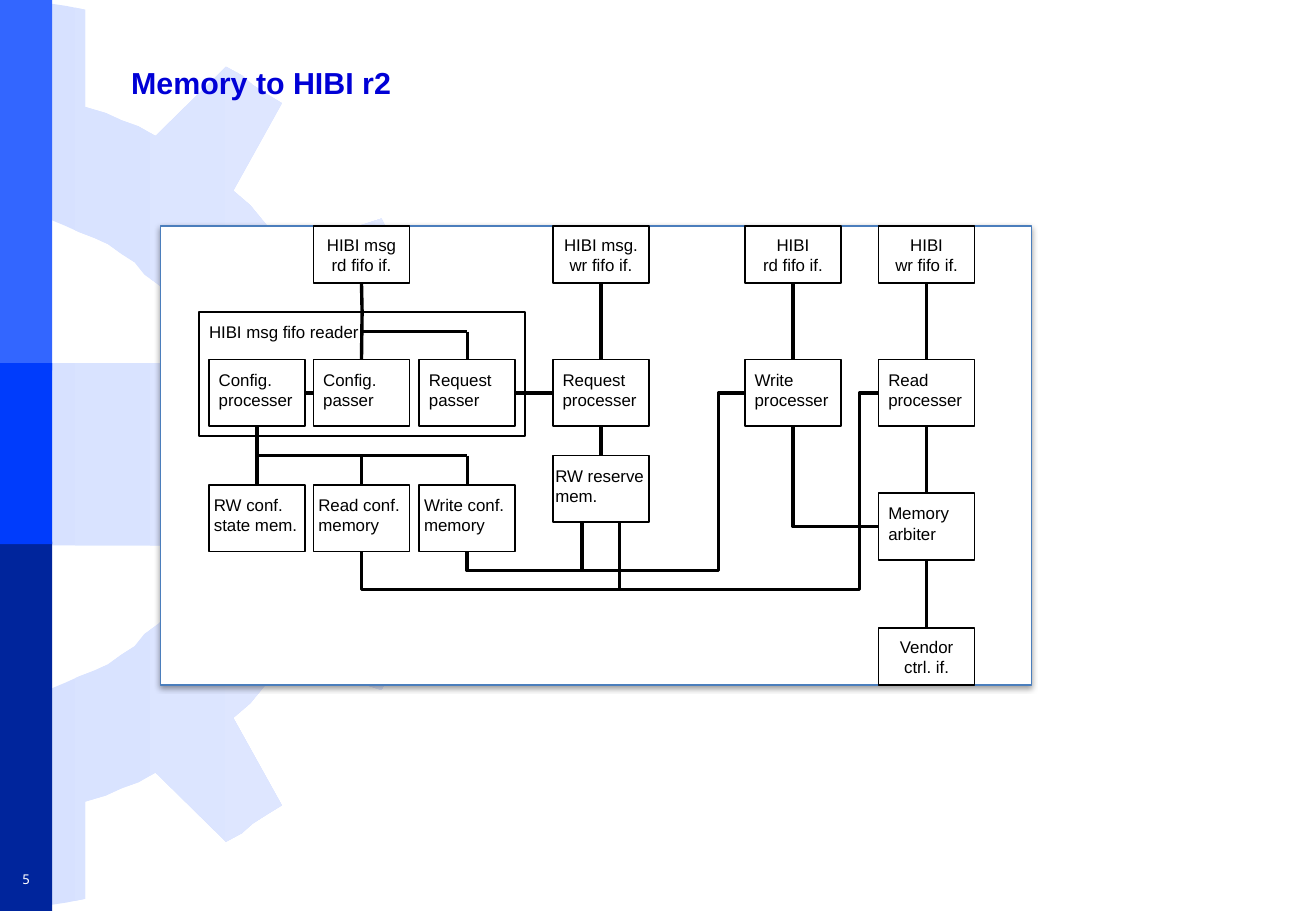
from lxml.etree import SubElement
from pptx import Presentation
from pptx.dml.color import RGBColor
from pptx.enum.shapes import MSO_CONNECTOR as Link, MSO_SHAPE as Kind
from pptx.enum.text import MSO_ANCHOR as Anchor, PP_ALIGN as Align
from pptx.oxml.ns import qn
from pptx.util import Inches, Pt

BLACK = RGBColor(0, 0, 0)
WHITE = RGBColor(255, 255, 255)
NAVY = RGBColor(0x00, 0x00, 0xD6)
EDGE = RGBColor(0x4B, 0x7E, 0xBC)
FADE = [RGBColor(0xD7, 0xE1, 0xFF), RGBColor(0xE3, 0xEA, 0xFF)]
BARS = [
    (0, 3.05, RGBColor(0x33, 0x66, 0xFF)),
    (4.46, 3.04, RGBColor(0x00, 0x25, 0x9C)),
    (2.99, 1.49, RGBColor(0x00, 0x3C, 0xFC)),
]

TITLE = "Memory to HIBI r2"
NUMBER = "5"

GEAR_TOP = [
    (3.7, 3.73), (3.7, 3.59), (3.67, 3.47), (2.86, 3.34), (2.83, 3.2),
    (2.81, 3.05), (2.75, 2.91), (2.73, 2.73), (3.38, 2.27), (3.33, 2.14),
    (3.27, 2.04), (3.2, 1.92), (3.14, 1.8), (2.36, 2.05), (2.25, 1.92),
    (2.15, 1.8), (2.06, 1.69), (1.92, 1.57), (2.32, 0.85), (2.19, 0.77),
    (2.08, 0.7), (1.99, 0.62), (1.86, 0.55), (1.28, 1.12), (1.14, 1.04),
    (1, 0.99), (0.87, 0.93), (0.7, 0.88), (0.7, 0.08), (0.55, 0.05),
    (0.42, 0.03), (0.29, 0.01), (0.14, 0), (0.14, 1.76), (0.28, 1.8),
    (0.42, 1.81), (0.54, 1.86), (0.65, 1.91), (0.78, 1.96), (0.89, 2.01),
    (1, 2.09), (1.11, 2.16), (1.19, 2.26), (1.3, 2.34), (1.39, 2.42),
    (1.47, 2.53), (1.55, 2.64), (1.6, 2.76), (1.67, 2.86), (1.73, 2.99),
    (0, 2.99),
]
GEAR_SPAN = 7.48

COLS = [1.72, 2.58, 3.45, 4.55, 6.13, 7.23]
WIDE = 0.79
PORT, UNIT = 0.47, 0.55
TOP, MID, LOW = 1.86, 2.96, 3.99

PORTS = {
    "msg rd": (1, "HIBI msg\nrd fifo if."),
    "msg wr": (3, "HIBI msg.\nwr fifo if."),
    "rd": (4, "HIBI\nrd fifo if."),
    "wr": (5, "HIBI\nwr fifo if."),
}
UNITS = {
    "conf proc": (0, MID, "Config. processer", 0.08),
    "conf pass": (1, MID, "Config. passer", 0.08),
    "req pass": (2, MID, "Request passer", 0.08),
    "req proc": (3, MID, "Request processer", 0.08),
    "write": (4, MID, "Write processer", 0.08),
    "read": (5, MID, "Read processer", 0.08),
    "state": (0, LOW, "RW conf. state mem.", 0.04),
    "read mem": (1, LOW, "Read conf. memory", 0.04),
    "write mem": (2, LOW, "Write conf. memory", 0.04),
    "reserve": (3, 3.75, "RW reserve mem.", 0.02),
    "arbiter": (5, 4.06, "Memory arbiter", 0.08),
}
JOINS = [
    ("rd", 2, "write", 0), ("wr", 2, "read", 0),
    ("msg rd", 2, "reader", 0), ("reader", 0, "conf pass", 0),
    ("msg wr", 2, "req proc", 0), ("conf pass", 1, "conf proc", 3),
    ("req pass", 3, "req proc", 1), ("conf proc", 2, "state", 0),
    ("read", 2, "arbiter", 0), ("arbiter", 2, "ctrl", 0),
    ("req proc", 2, "reserve", 0),
]
BENDS = [
    ("write", 1, "write mem", 2, "bentConnector4", (9500, 112000)),
    ("read", 1, "read mem", 2, "bentConnector4", (3700, 124000)),
    ("arbiter", 1, "write", 2, "bentConnector2", ()),
]
AXES = [x + WIDE / 2 for x in COLS]
TAPS = [
    (AXES[1], 2.73, AXES[2], 2.73, None),
    (AXES[2], 2.73, AXES[2], MID, "req pass"),
    (AXES[0], 3.75, AXES[2], 3.75, None),
    (AXES[2], 3.75, AXES[2], LOW, "write mem"),
    (AXES[1], 3.75, AXES[1], LOW, "read mem"),
    (4.79, 4.3, 4.79, 4.69, None),
    (5.1, 4.3, 5.1, 4.85, None),
]


def write(shape, text, size=10, color=BLACK, font="Arial", bold=False,
          align=Align.LEFT, anchor=Anchor.TOP, pad=(0.1, 0.05), wrap=True):
    """Fill a shape with formatted text."""
    frame = shape.text_frame
    frame.text = text
    frame.word_wrap = wrap
    frame.vertical_anchor = anchor
    frame.margin_left = frame.margin_right = Inches(pad[0])
    frame.margin_top = frame.margin_bottom = Inches(pad[1])
    for para in frame.paragraphs:
        para.alignment = align
        for run in para.runs:
            run.font.size, run.font.name = Pt(size), font
            run.font.bold, run.font.color.rgb = bold, color


def block(shapes, x, y, w, h, fill=WHITE, edge=BLACK, width=1):
    """Draw a flat rectangle."""
    shape = shapes.add_shape(Kind.RECTANGLE, *map(Inches, (x, y, w, h)))
    shape.shadow.inherit = False
    shape.fill.solid()
    shape.fill.fore_color.rgb = fill
    if edge is None:
        shape.line.fill.background()
    else:
        shape.line.color.rgb, shape.line.width = edge, Pt(width)
    return shape


def wire(shapes, kind=Link.STRAIGHT, ends=(0, 0, 0, 0)):
    """Draw a black line with no shadow."""
    line = shapes.add_connector(kind, *map(Inches, ends))
    line.line.color.rgb, line.line.width = BLACK, Pt(2)
    SubElement(line.element.spPr, qn("a:effectLst"))
    return line


def join(line, boxes, start, side, stop, face):
    """Tie both ends of a line to boxes."""
    line.begin_connect(boxes[start], side)
    line.end_connect(boxes[stop], face)


def bend(line, preset, steps):
    """Set the route of an elbow line."""
    geom = line.element.spPr.find(qn("a:prstGeom"))
    geom.set("prst", preset)
    guides = geom.find(qn("a:avLst"))
    for i, step in enumerate(steps, 1):
        SubElement(guides, qn("a:gd"), name=f"adj{i}", fmla=f"val {step}")


def shade(shape):
    """Give a shape a soft shadow below it."""
    effects = shape.element.spPr.find(qn("a:effectLst"))
    outer = SubElement(effects, qn("a:outerShdw"), blurRad=str(Pt(3.1)),
                       dist=str(Pt(1.6)), dir="5400000", rotWithShape="0")
    color = SubElement(outer, qn("a:srgbClr"), val="000000")
    SubElement(color, qn("a:alpha"), val="38000")


def backdrop(shapes):
    """Draw the gear and the side bars."""
    points = GEAR_TOP + [(x, GEAR_SPAN - y) for x, y in reversed(GEAR_TOP)]
    path = [(Inches(x), Inches(y)) for x, y in points]
    pen = shapes.build_freeform(*path[0])
    pen.add_line_segments(path[1:], close=True)
    gear = pen.convert_to_shape()
    gear.shadow.inherit = False
    gear.line.fill.background()
    gear.fill.gradient()
    gear.fill.gradient_angle = 0
    for stop, color, spot in zip(gear.fill.gradient_stops, FADE, (0, 1)):
        stop.color.rgb, stop.position = color, spot
    for y, h, color in BARS:
        block(shapes, 0, y, 0.43, h, fill=color, edge=None)


def diagram(shapes):
    """Draw the panel, its boxes and their wires."""
    shade(block(shapes, 1.32, TOP, 7.17, 3.78, edge=EDGE, width=0.75))
    boxes = {"reader": block(shapes, 1.64, 2.57, 2.68, 1.02)}
    write(boxes["reader"], "HIBI msg fifo reader", pad=(0.08, 0.08))
    for key, (col, text) in PORTS.items():
        boxes[key] = block(shapes, COLS[col], TOP, WIDE, PORT)
        write(boxes[key], text, align=Align.CENTER, anchor=Anchor.MIDDLE,
              pad=(0, 0), wrap=False)
    for key, (col, y, text, pad) in UNITS.items():
        boxes[key] = block(shapes, COLS[col], y, WIDE, UNIT)
        write(boxes[key], text, pad=(pad, 0.08))
    boxes["ctrl"] = block(shapes, COLS[5], 5.17, WIDE, PORT)
    write(boxes["ctrl"], "Vendor ctrl. if.", align=Align.CENTER,
          anchor=Anchor.MIDDLE, pad=(0.08, 0.08))
    for ends in JOINS:
        join(wire(shapes), boxes, *ends)
    for *ends, preset, steps in BENDS:
        line = wire(shapes, Link.ELBOW)
        join(line, boxes, *ends)
        bend(line, preset, steps)
    for *ends, goal in TAPS:
        line = wire(shapes, ends=ends)
        if goal:
            line.end_connect(boxes[goal], 0)


def main():
    """Build the slide and save it."""
    deck = Presentation()
    deck.slide_width, deck.slide_height = Inches(10.83), Inches(7.5)
    slide = deck.slides.add_slide(deck.slide_layouts[5])
    shapes = slide.shapes
    backdrop(shapes)
    title = shapes.title
    title.left, title.top = Inches(0.98), Inches(0.21)
    title.width, title.height = Inches(9.39), Inches(0.94)
    write(title, TITLE, size=18, color=NAVY, bold=True, anchor=Anchor.MIDDLE)
    shapes.element.append(title.element)
    spot = shapes.add_textbox(*map(Inches, (0, 7.11, 0.43, 0.26)))
    write(spot, NUMBER, size=8, color=WHITE, font="Noto Sans Mono",
          align=Align.CENTER, anchor=Anchor.MIDDLE, wrap=False)
    diagram(shapes)
    deck.save("out.pptx")


if __name__ == "__main__":
    main()
